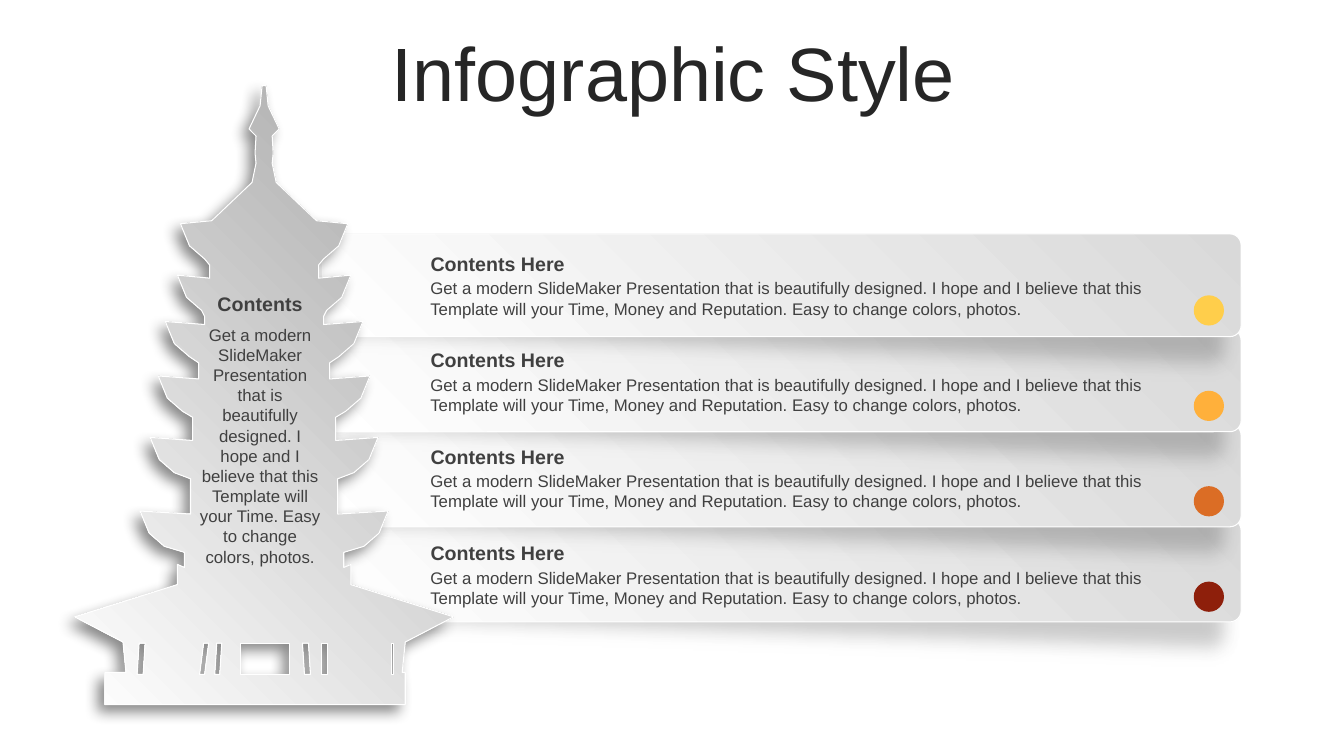
import pptx
import pptx.dml.color
import pptx.enum.shapes
import pptx.enum.text
import pptx.oxml
import pptx.oxml.ns
import pptx.util
from pptx.util import Inches

SHAPE = pptx.enum.shapes.MSO_SHAPE
CENTER = pptx.enum.text.PP_ALIGN.CENTER
MIDDLE = pptx.enum.text.MSO_ANCHOR.MIDDLE

INTRO = "Get a modern SlideMaker Presentation that is beautifully designed. I hope and I believe that this Template will your Time"
ROW_TEXT = INTRO + ", Money and Reputation. Easy to change colors, photos."
PAGODA_TEXT = INTRO + ". Easy to change colors, photos."
DOT_COLORS = ["FFCE4B", "FFB03B", "DB6D25", "8E1F0B"]

# Pagoda in hundredths of an inch; half widths are measured from its axis
AXIS = 262
SPIRE = [(2, 85), (4, 105), (15, 128), (8, 135), (9, 152), (8, 162), (12, 181), (52, 219)]
TIERS = [(83, 222, 54), (86, 273, 59), (98, 319, 65),  # half width, top, neck
         (105, 373, 71), (113, 434, 73), (123, 507, 79)]
BASE = [(86, 560), (86, 580), (188, 612), (140, 637), (137, 667)]
PLATFORM = [(402, 667), (402, 699), (104, 699), (104, 667)]
OPENING_TOP, OPENING_BOTTOM = 638, 669
OPENINGS = [(138, 136, 6), (202, 198, 5), (215, 213, 5), (239, 239, 48),  # top x, bottom x, width
            (300, 302, 6), (319, 319, 6), (388, 388, 2)]


def rgb(value):
    return pptx.dml.color.RGBColor.from_string(value)


def row_top(first, last, row):
    """Top of a row when the four rows run evenly from first to last."""
    return first + (last - first) * row / (len(DOT_COLORS) - 1)


def pagoda_outline():
    profile = list(SPIRE)
    next_tops = [top for _, top, _ in TIERS[1:]] + [BASE[0][1]]
    for (half, top, neck), next_top in zip(TIERS, next_tops):
        profile += [(half, top), (half - 9, top + 22), (half - 24, top + 35),
                    (neck, top + 41), (neck, next_top + 3)]
    profile += BASE
    right = [(AXIS + half, y) for half, y in profile]
    left = [(AXIS - half, y) for half, y in reversed(profile)]
    return right + PLATFORM + left


class Deck:
    font = "Arial"
    text_color = "404040"
    line_color = "FFFFFF"

    def __init__(self):
        self.prs = pptx.Presentation()
        self.prs.slide_width, self.prs.slide_height = Inches(13.33), Inches(7.5)
        self.slide = self.prs.slides.add_slide(self.prs.slide_layouts[6])

    def group(self):
        return self.slide.shapes.add_group_shape().shapes

    def shape(self, shapes, kind, left, top, width, height):
        sp = shapes.add_shape(kind, Inches(left), Inches(top), Inches(width), Inches(height))
        sp.shadow.inherit = False
        sp.line.fill.background()
        return sp

    def shade(self, sp, dark):
        """Fade from dark at the top right to white, with a thin outline."""
        sp.fill.gradient()
        sp.fill.gradient_angle = 225
        for stop, color in zip(sp.fill.gradient_stops, (dark, "FFFFFF")):
            stop.color.rgb = rgb(color)
        sp.line.color.rgb = rgb(self.line_color)
        sp.line.width = pptx.util.Pt(0.75)

    def shadow(self, sp, alpha, distance, soft_edge=0):
        """Cast a blurred shadow down and to the left; distances in points."""
        sp.shadow.inherit = False
        soft = f'<a:softEdge rad="{pptx.util.Pt(soft_edge)}"/>' if soft_edge else ""
        effects = pptx.oxml.parse_xml(
            f'<a:effectLst {pptx.oxml.ns.nsdecls("a")}>'
            f'<a:outerShdw blurRad="{pptx.util.Pt(10)}" dist="{pptx.util.Pt(distance)}" '
            'dir="8100000" algn="tr" rotWithShape="0"><a:srgbClr val="000000">'
            f'<a:alpha val="{alpha * 1000}"/></a:srgbClr></a:outerShdw>{soft}</a:effectLst>')
        old = sp._element.spPr.find(pptx.oxml.ns.qn("a:effectLst"))
        old.getparent().replace(old, effects)

    def bar(self, top):
        shapes = self.group()
        back = self.shape(shapes, SHAPE.ROUNDED_RECTANGLE, 3.07, top + 0.25, 9.23, 1.02)
        back.rotation = 2
        back.fill.solid()
        back.fill.fore_color.rgb = rgb("595959")
        color = back._element.spPr.find(".//" + pptx.oxml.ns.qn("a:srgbClr"))
        color.append(pptx.oxml.parse_xml(f'<a:alpha {pptx.oxml.ns.nsdecls("a")} val="23000"/>'))
        self.shadow(back, 33, 3, soft_edge=12.5)
        front = self.shape(shapes, SHAPE.ROUNDED_RECTANGLE, 3.2, top, 9.11, 1.02)
        self.shade(front, "D9D9D9")
        for sp in (back, front):
            sp.adjustments[0] = 0.11

    def dot(self, top, color):
        sp = self.shape(self.slide.shapes, SHAPE.OVAL, 11.84, top, 0.3, 0.3)
        sp.fill.solid()
        sp.fill.fore_color.rgb = rgb(color)

    def pagoda(self):
        start, *rest = pagoda_outline()
        builder = self.slide.shapes.build_freeform(*start, scale=Inches(0.01))
        builder.add_line_segments(rest)
        for top_x, bottom_x, width in OPENINGS:
            builder.move_to(top_x, OPENING_TOP)
            builder.add_line_segments([
                (bottom_x, OPENING_BOTTOM), (bottom_x + width, OPENING_BOTTOM),
                (top_x + width, OPENING_TOP)])
        sp = builder.convert_to_shape()
        self.shade(sp, "A6A6A6")
        self.shadow(sp, 45, 7)

    def text(self, shapes, text, left, top, width, height, size, bold=False, align=None, color=None):
        sp = shapes.add_textbox(Inches(left), Inches(top), Inches(width), Inches(height))
        tf = sp.text_frame
        tf.word_wrap = True
        p = tf.paragraphs[0]
        p.text = text
        p.alignment = align
        p.font.name = self.font
        p.font.size = pptx.util.Pt(size)
        p.font.bold = bold
        p.font.color.rgb = rgb(color or self.text_color)
        return tf

    def title(self, text):
        tf = self.text(self.slide.shapes, text, 0.35, 0.37, 12.66, 0.79, 54, align=CENTER, color="262626")
        tf.vertical_anchor = MIDDLE
        tf.paragraphs[0].line_spacing = 0.9

    def caption(self, heading, body, left, top, width, height, body_gap, align=None):
        """Bold heading with its body text below, as one group."""
        shapes = self.group()
        self.text(shapes, body, left + 0.02, top + body_gap, width - 0.04, height, 12, align=align)
        tf = self.text(shapes, heading, left, top, width, 0.34, 14, bold=True, align=align)
        tf.margin_left = tf.margin_right = Inches(0.12)


def main():
    deck = Deck()
    deck.title("Infographic Style")
    for row in reversed(range(len(DOT_COLORS))):
        deck.bar(row_top(2.32, 5.15, row))
    for row, color in enumerate(DOT_COLORS):
        deck.caption("Contents Here", ROW_TEXT, 4.15, row_top(2.45, 5.32, row), 7.52, 0.5, 0.26)
        deck.dot(row_top(2.93, 5.77, row), color)
    deck.pagoda()
    deck.caption("Contents", PAGODA_TEXT, 1.85, 2.85, 1.46, 2.52, 0.32, CENTER)
    deck.prs.save("out.pptx")


if __name__ == "__main__":
    main()
